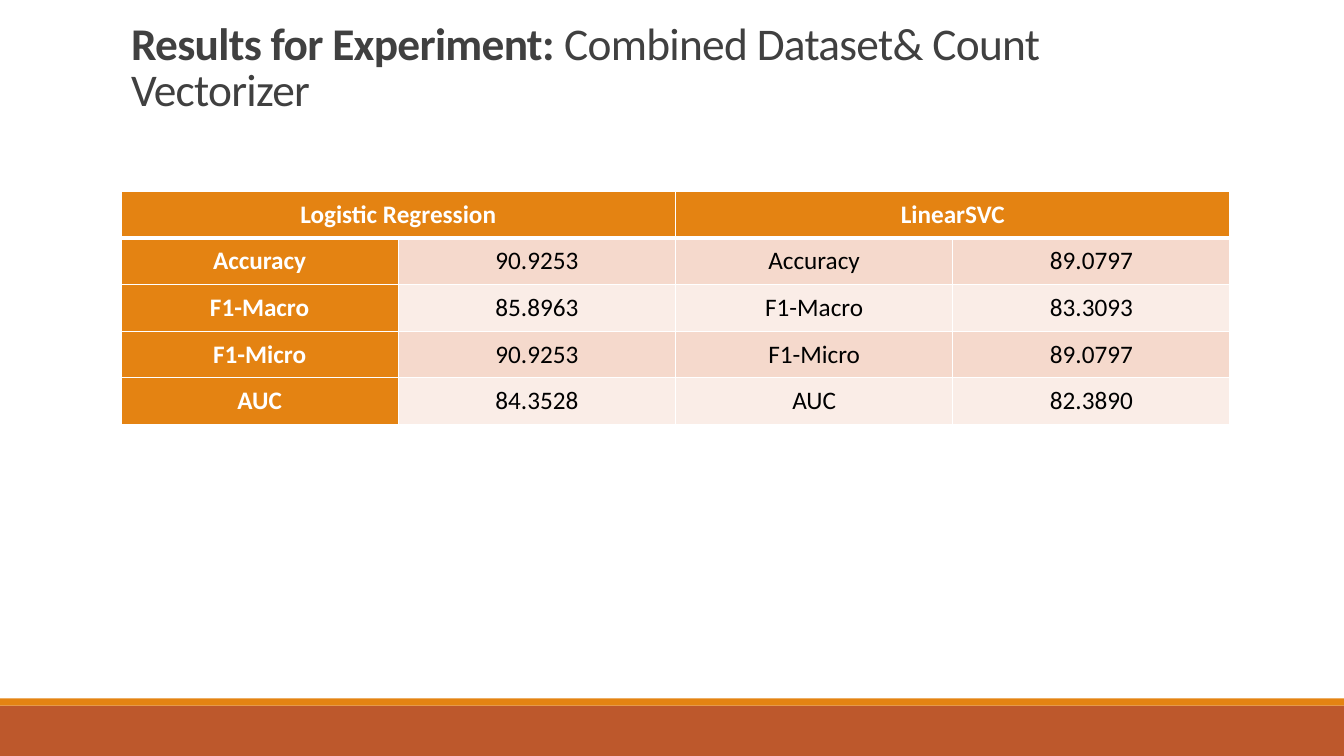
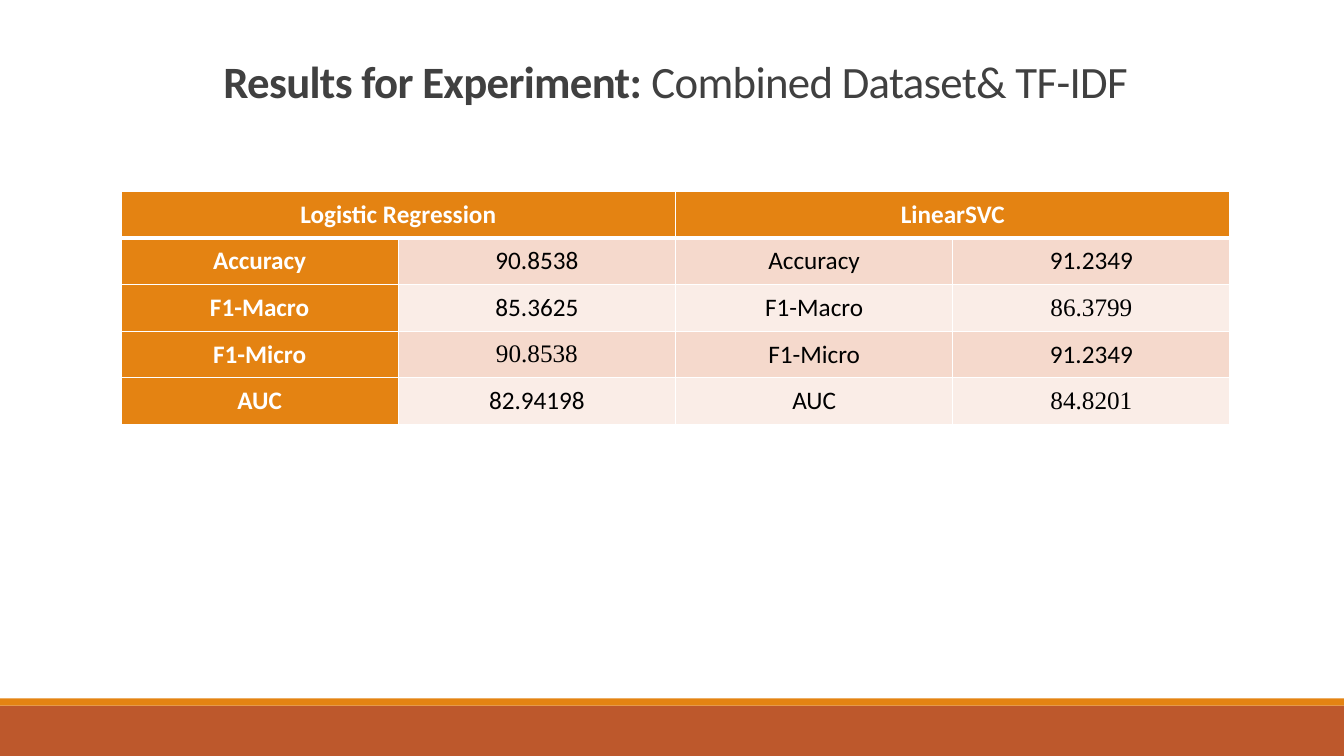
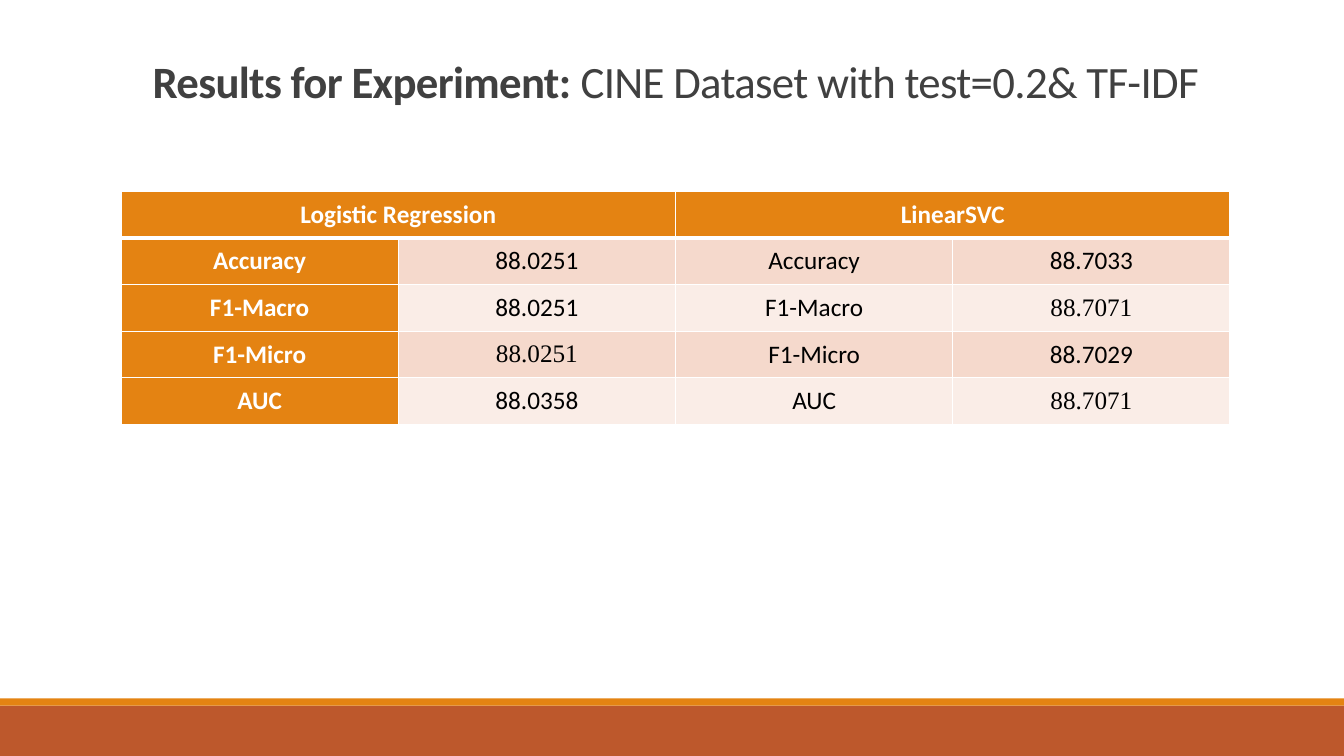
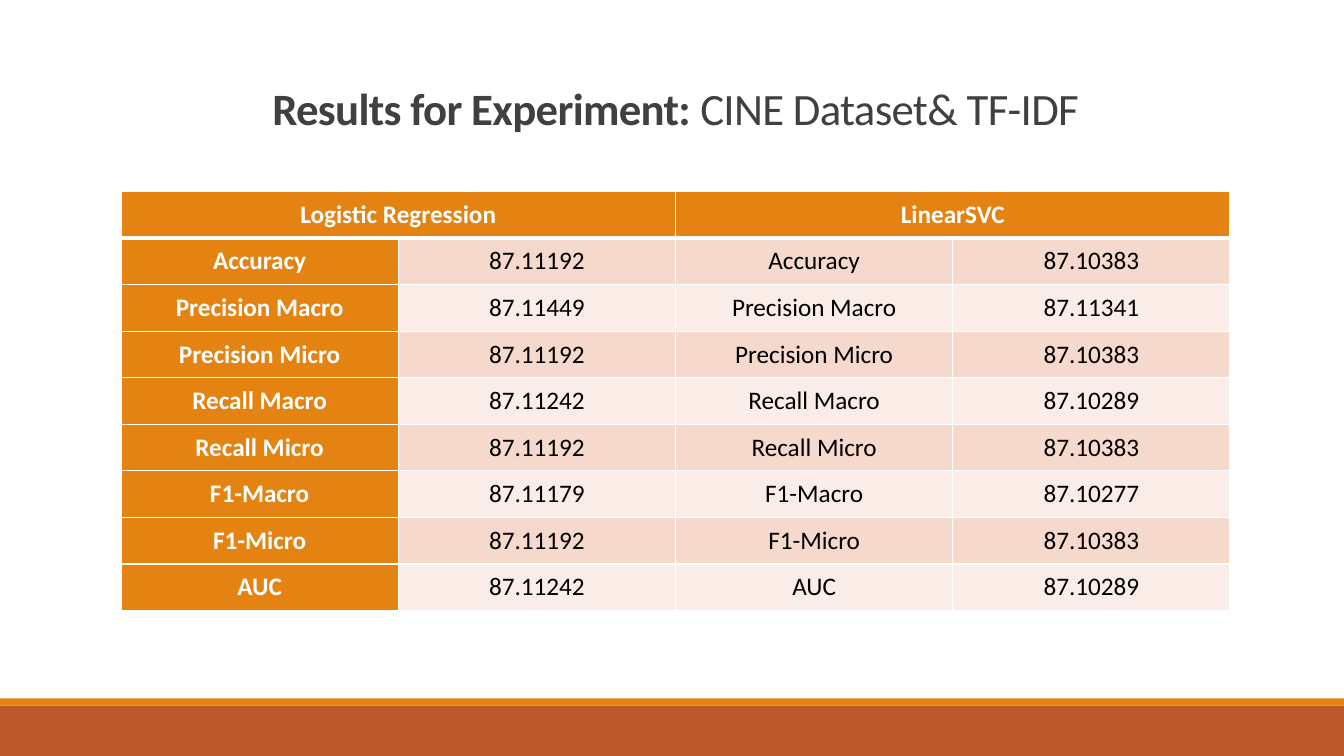
from lxml import etree
from pptx import Presentation
from pptx.dml.color import RGBColor
from pptx.enum.shapes import MSO_CONNECTOR, MSO_SHAPE
from pptx.enum.text import MSO_ANCHOR, MSO_AUTO_SIZE, PP_ALIGN
from pptx.oxml.ns import qn
from pptx.util import Inches, Pt

RECTANGLE = MSO_SHAPE.RECTANGLE
STRAIGHT = MSO_CONNECTOR.STRAIGHT
LEFT, CENTER = PP_ALIGN.LEFT, PP_ALIGN.CENTER
BOTTOM, MIDDLE = MSO_ANCHOR.BOTTOM, MSO_ANCHOR.MIDDLE
NO_AUTOFIT = MSO_AUTO_SIZE.NONE

RUST = RGBColor(0xBD, 0x58, 0x2C)
ORANGE = RGBColor(0xE4, 0x83, 0x12)
GRAY = RGBColor(0x80, 0x80, 0x80)
CHARCOAL = RGBColor(0x40, 0x40, 0x40)
WHITE = RGBColor(0xFF, 0xFF, 0xFF)
BLACK = RGBColor(0x00, 0x00, 0x00)
DARK_BAND = RGBColor(0xF5, 0xD9, 0xCC)
LIGHT_BAND = RGBColor(0xFA, 0xED, 0xE7)

SANS, SERIF = "Calibri", "Times New Roman"
SLIDE_WIDTH, SLIDE_HEIGHT = Inches(13.33), Inches(7.5)
CONTENT_LEFT, CONTENT_WIDTH = Inches(1.2), Inches(11)
TITLE_TOP, TABLE_TOP = Inches(0.31), Inches(1.9)
ROW_HEIGHT = Inches(2.31) // 5
TITLE_LEAD = "Results for Experiment: "
MODELS = ("Logistic Regression", "LinearSVC")
SHORT_METRICS = ("Accuracy", "F1-Macro", "F1-Micro", "AUC")
LONG_METRICS = ("Accuracy", "Precision Macro", "Precision Micro", "Recall Macro",
                "Recall Micro", "F1-Macro", "F1-Micro", "AUC")
# Row and column of the values set in the serif font
TFIDF_SERIF_CELLS = {(2, 3), (3, 1), (4, 3)}

EXPERIMENTS = [
    {"name": "Combined Dataset& Count Vectorizer", "align": LEFT,
     "size": 32.4, "title_gap": 0.75, "metrics": SHORT_METRICS, "serif": set(),
     "logistic": ("90.9253", "85.8963", "90.9253", "84.3528"),
     "svc": ("89.0797", "83.3093", "89.0797", "82.3890")},
    {"name": "Combined Dataset& TF-IDF", "align": CENTER,
     "size": 32, "title_gap": 0.83, "metrics": SHORT_METRICS,
     "serif": TFIDF_SERIF_CELLS,
     "logistic": ("90.8538", "85.3625", "90.8538", "82.94198"),
     "svc": ("91.2349", "86.3799", "91.2349", "84.8201")},
    {"name": "CINE Dataset with test=0.2& TF-IDF", "align": CENTER,
     "size": 32, "title_gap": 0.83, "metrics": SHORT_METRICS,
     "serif": TFIDF_SERIF_CELLS,
     "logistic": ("88.0251", "88.0251", "88.0251", "88.0358"),
     "svc": ("88.7033", "88.7071", "88.7029", "88.7071")},
    {"name": "CINE Dataset& TF-IDF", "align": CENTER,
     "size": 32, "title_gap": 0.56, "metrics": LONG_METRICS, "serif": set(),
     "logistic": ("87.11192", "87.11449", "87.11192", "87.11242",
                  "87.11192", "87.11179", "87.11192", "87.11242"),
     "svc": ("87.10383", "87.11341", "87.10383", "87.10289",
             "87.10383", "87.10277", "87.10383", "87.10289")},
]


def style_span(span, size, color, bold, font=SANS):
    """Set the font of one run."""
    span.font.name = font
    span.font.size = Pt(size)
    span.font.color.rgb = color
    span.font.bold = bold


def add_band(page, top, height, color):
    """Add a full-width band and return it."""
    band = page.shapes.add_shape(RECTANGLE, 0, top, SLIDE_WIDTH, height)
    band.shadow.inherit = False
    band.fill.solid()
    band.fill.fore_color.rgb = color
    band.line.fill.background()
    return band


def add_rule(page):
    """Add the thin line below the title and return it."""
    rule = page.shapes.add_connector(STRAIGHT, Inches(1.31), TABLE_TOP,
                                     Inches(12.21), TABLE_TOP)
    rule.line.color.rgb = GRAY
    rule.line.width = Pt(0.5)
    etree.SubElement(rule.element.spPr, qn("a:effectLst"))
    return rule


def decorate_layout(layout, page):
    """Draw the shared bands and rule, then move them to the layout."""
    decorations = (add_band(page, Inches(7), Inches(0.5), RUST),
                   add_band(page, Inches(6.93), Inches(0.07), ORANGE),
                   add_rule(page))
    for decoration in decorations:
        layout.shapes.element.append(decoration.element)


def set_title(page, experiment):
    """Place the title and write its bold lead and experiment name."""
    title = page.shapes.title
    title.left, title.top = CONTENT_LEFT, TITLE_TOP
    title.width, title.height = CONTENT_WIDTH, TABLE_TOP - TITLE_TOP
    frame = title.text_frame
    frame.auto_size = NO_AUTOFIT
    frame.word_wrap = True
    frame.vertical_anchor = BOTTOM
    frame.margin_top = 0
    frame.margin_bottom = Inches(experiment["title_gap"])
    para = frame.paragraphs[0]
    para.alignment = experiment["align"]
    para.line_spacing = 0.85
    for text, bold in ((TITLE_LEAD, True), (experiment["name"], False)):
        span = para.add_run()
        span.text = text
        style_span(span, experiment["size"], CHARCOAL, bold)
        span.font._element.set("spc", "-50")


def set_borders(cell, top, bottom):
    """Give a cell white borders; top and bottom widths are in points."""
    properties = cell._tc.get_or_add_tcPr()
    sides = (("a:lnL", 1), ("a:lnR", 1), ("a:lnT", top), ("a:lnB", bottom))
    for position, (tag, width) in enumerate(sides):
        border = etree.Element(qn(tag), w=str(Pt(width)))
        fill = etree.SubElement(border, qn("a:solidFill"))
        etree.SubElement(fill, qn("a:srgbClr"), val=str(WHITE))
        properties.insert(position, border)


def format_cell(cell, row, column, font):
    """Format a cell by its place in the table."""
    accent = row == 0 or column == 0
    band = DARK_BAND if row % 2 else LIGHT_BAND
    cell.fill.solid()
    cell.fill.fore_color.rgb = ORANGE if accent else band
    cell.vertical_anchor = MIDDLE
    cell.margin_left = cell.margin_right = Inches(0.07)
    cell.margin_top = cell.margin_bottom = 0
    para = cell.text_frame.paragraphs[0]
    para.alignment = CENTER
    for span in para.runs:
        style_span(span, 18, WHITE if accent else BLACK, accent, font)
    set_borders(cell, top=3 if row == 1 else 1, bottom=3 if row == 0 else 1)


def add_results(page, experiment):
    """Add the table that compares the two models."""
    metrics = experiment["metrics"]
    rows = [(MODELS[0], "", MODELS[1], "")]
    rows += zip(metrics, experiment["logistic"], metrics, experiment["svc"])
    table = page.shapes.add_table(len(rows), 4, CONTENT_LEFT, TABLE_TOP,
                                  CONTENT_WIDTH, ROW_HEIGHT * len(rows)).table
    for row, texts in enumerate(rows):
        table.rows[row].height = ROW_HEIGHT
        for column, text in enumerate(texts):
            cell = table.cell(row, column)
            cell.text_frame.text = text
            font = SERIF if (row, column) in experiment["serif"] else SANS
            format_cell(cell, row, column, font)
    for column in (0, 2):
        table.cell(0, column).merge(table.cell(0, column + 1))


def main():
    """Build the deck, one page for each experiment."""
    deck = Presentation()
    deck.slide_width, deck.slide_height = SLIDE_WIDTH, SLIDE_HEIGHT
    layout = deck.slide_layouts.get_by_name("Title Only")
    for experiment in EXPERIMENTS:
        page = deck.slides.add_slide(layout)
        set_title(page, experiment)
        add_results(page, experiment)
    decorate_layout(layout, deck.slides[0])
    deck.save("out.pptx")


main()
